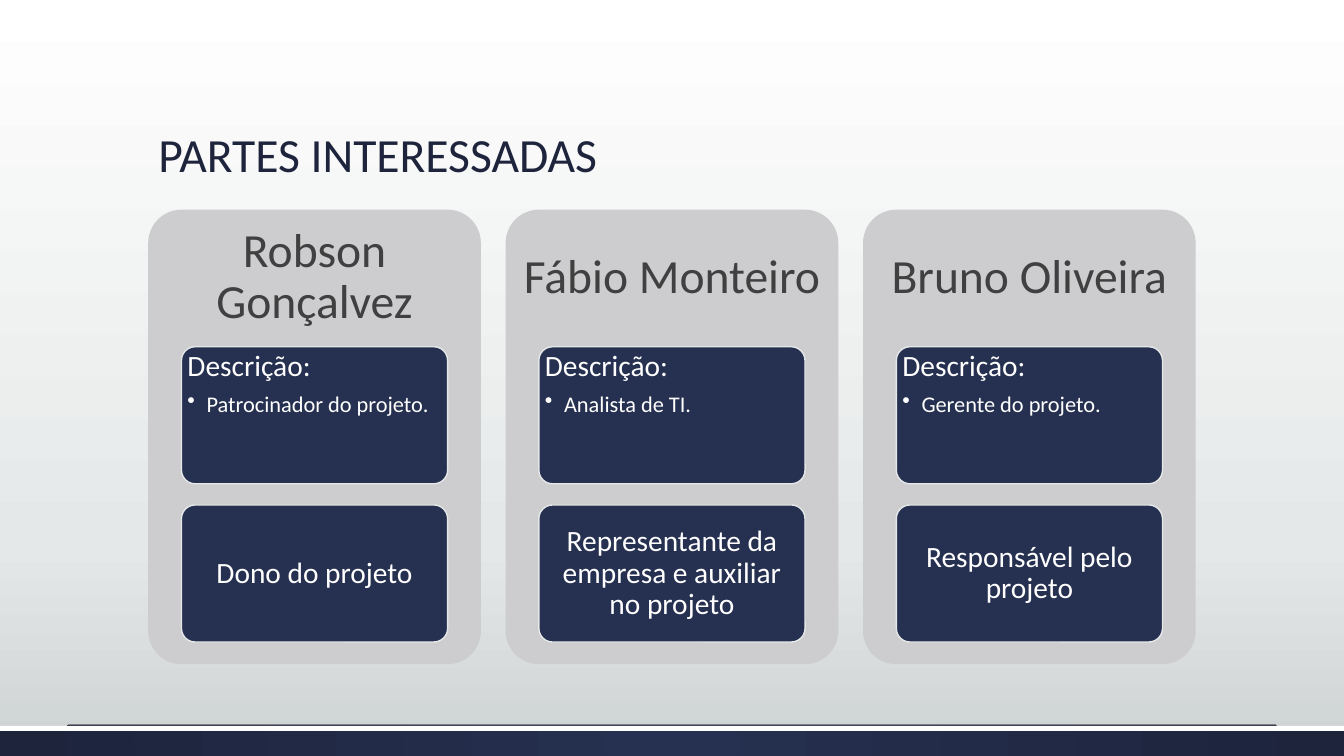
from pptx import Presentation
from pptx.dml.color import RGBColor
from pptx.enum.shapes import MSO_CONNECTOR, MSO_SHAPE
from pptx.enum.text import MSO_ANCHOR, MSO_AUTO_SIZE, PP_ALIGN
from pptx.oxml import parse_xml
from pptx.oxml.ns import nsdecls, qn
from pptx.util import Inches, Pt

TITLE = "PARTES INTERESSADAS"
STAKEHOLDERS = [
    ("Robson Gonçalvez", "Patrocinador do projeto.", "Dono do projeto"),
    ("Fábio Monteiro", "Analista de TI.", "Representante da empresa e auxiliar no projeto"),
    ("Bruno Oliveira", "Gerente do projeto.", "Responsável pelo projeto"),
]
DESCRIPTION = "Descrição:"
FONT = "Calibri"
NAVY, DARK_NAVY, PALE, WHITE = "263050", "1D243C", "E5E8E8", "FFFFFF"
PANEL_GREY, NAME_GREY, RULE_GREY = "CDCDD0", "404040", "7F7F7F"
BACKDROP = [(0, WHITE), (72, PALE), (100, "CDD2D2")]
DOWNWARD = '<a:lin %s ang="5400000" scaled="0"/>'
RADIAL = '<a:path %s path="circle"><a:fillToRect l="50000" t="50000" r="50000" b="50000"/></a:path>'

LEFT, TOP, PANEL_W, PANEL_H, PITCH = 1.47, 2.08, 3.3, 4.51, 3.545
NAME_H, CARD_W, CARD_H, CARD_PITCH = 1.35, 2.64, 1.36, 1.57
CARD_TOP = 3.44


def color(value):
    return RGBColor.from_string(value)


def set_gradient(fill, owner, stops, direction):
    fill.gradient()
    gradient = owner.find(".//" + qn("a:gradFill"))
    for child in list(gradient):
        gradient.remove(child)
    marks = "".join(
        f'<a:gs pos="{position * 1000}"><a:srgbClr val="{value}"/></a:gs>'
        for position, value in stops
    )
    gradient.append(parse_xml(f'<a:gsLst {nsdecls("a")}>{marks}</a:gsLst>'))
    gradient.append(parse_xml(direction % nsdecls("a")))


def add_block(kind, left, top, width, height, fill, line=None):
    block = slide.shapes.add_shape(kind, Inches(left), Inches(top), Inches(width), Inches(height))
    block.shadow.inherit = False
    block.fill.solid()
    block.fill.fore_color.rgb = color(fill)
    if line:
        block.line.color.rgb = color(line)
        block.line.width = Pt(1)
    else:
        block.line.fill.background()
    if kind == MSO_SHAPE.ROUNDED_RECTANGLE:
        block.adjustments[0] = 0.1
    return block


def set_frame(frame, anchor, side, edge):
    frame.word_wrap = True
    frame.auto_size = MSO_AUTO_SIZE.NONE
    frame.vertical_anchor = anchor
    frame.margin_left = frame.margin_right = Inches(side)
    frame.margin_top = frame.margin_bottom = Inches(edge)


def format_paragraph(paragraph, size, ink, align=PP_ALIGN.LEFT, after=0):
    paragraph.alignment = align
    paragraph.line_spacing = 0.9
    paragraph.space_before = Pt(0)
    paragraph.space_after = Pt(after)
    for run in paragraph.runs:
        run.font.name = FONT
        run.font.size = Pt(size)
        run.font.color.rgb = color(ink)


def add_bullet(paragraph):
    properties = paragraph._p.get_or_add_pPr()
    properties.set("marL", str(Inches(0.19)))
    properties.set("indent", str(-Inches(0.19)))
    properties.append(parse_xml(f'<a:buChar {nsdecls("a")} char="•"/>'))


def add_stakeholder(left, name, description, role):
    add_block(MSO_SHAPE.ROUNDED_RECTANGLE, left, TOP, PANEL_W, PANEL_H, PANEL_GREY)
    heading = slide.shapes.add_textbox(Inches(left), Inches(TOP), Inches(PANEL_W), Inches(NAME_H))
    set_frame(heading.text_frame, MSO_ANCHOR.MIDDLE, 0.14, 0.14)
    heading.text_frame.text = name
    format_paragraph(heading.text_frame.paragraphs[0], 34, NAME_GREY, PP_ALIGN.CENTER)

    card_left = left + (PANEL_W - CARD_W) / 2
    description_card, role_card = [
        add_block(MSO_SHAPE.ROUNDED_RECTANGLE, card_left, CARD_TOP + row * CARD_PITCH,
                  CARD_W, CARD_H, NAVY, PALE).text_frame
        for row in range(2)
    ]
    set_frame(description_card, MSO_ANCHOR.TOP, 0.02, 0)
    description_card.text = DESCRIPTION
    format_paragraph(description_card.paragraphs[0], 21, WHITE, after=7.35)
    detail = description_card.add_paragraph()
    detail.text = description
    detail.level = 1
    format_paragraph(detail, 16, WHITE, after=2.4)
    add_bullet(detail)

    set_frame(role_card, MSO_ANCHOR.MIDDLE, 0.02, 0)
    role_card.text = role
    format_paragraph(role_card.paragraphs[0], 21, WHITE, PP_ALIGN.CENTER)


presentation = Presentation()
presentation.slide_width, presentation.slide_height = Inches(13.33), Inches(7.5)
slide = presentation.slides.add_slide(presentation.slide_layouts[5])
set_gradient(slide.background.fill, slide._element, BACKDROP, DOWNWARD)

footer = add_block(MSO_SHAPE.RECTANGLE, 0, 7.2, 13.33, 0.3, NAVY)
set_gradient(footer.fill, footer._element, [(0, NAVY), (100, DARK_NAVY)], RADIAL)
add_block(MSO_SHAPE.RECTANGLE, 0, 7.2, 13.33, 0.05, WHITE)
rule = slide.shapes.add_connector(
    MSO_CONNECTOR.STRAIGHT, Inches(0.67), Inches(7.19), Inches(12.66), Inches(7.19))
rule.line.color.rgb = color(RULE_GREY)
rule.line.width = Pt(0.5)
rule._element.spPr.append(parse_xml(f'<a:effectLst {nsdecls("a")}/>'))

title = slide.shapes.title
title.left, title.top, title.width, title.height = map(Inches, (LEFT, 0.51, 10.4, 1.35))
set_frame(title.text_frame, MSO_ANCHOR.BOTTOM, 0.1, 0.05)
title.text_frame.text = TITLE
format_paragraph(title.text_frame.paragraphs[0], 34, DARK_NAVY)

for column, stakeholder in enumerate(STAKEHOLDERS):
    add_stakeholder(LEFT + column * PITCH, *stakeholder)

presentation.save("out.pptx")
